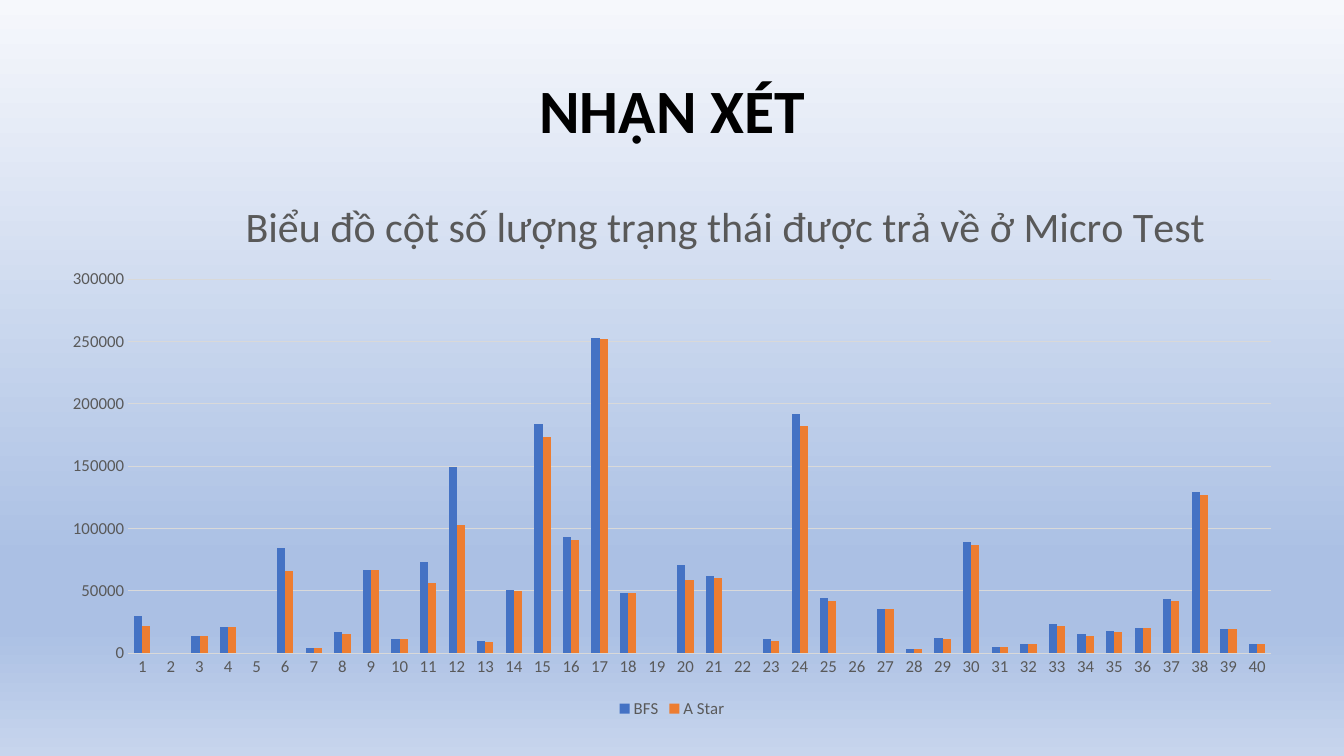
from lxml import etree
from pptx import Presentation
from pptx.chart.data import CategoryChartData as ChartData
from pptx.dml.color import RGBColor
from pptx.enum.chart import XL_CHART_TYPE as Kind, XL_LEGEND_POSITION as Place, XL_TICK_MARK as Tick
from pptx.enum.text import MSO_ANCHOR as Anchor, PP_ALIGN as Align
from pptx.oxml.ns import qn
from pptx.util import Inches, Pt

BLACK = RGBColor(0x00, 0x00, 0x00)
GRAY = RGBColor(0x59, 0x59, 0x59)
PALE = RGBColor(0xD9, 0xD9, 0xD9)
BLUE = RGBColor(0x44, 0x72, 0xC4)
ORANGE = RGBColor(0xED, 0x7D, 0x31)
SKY = [
    (0, RGBColor(0xF6, 0xF8, 0xFC)),
    (74, RGBColor(0xAB, 0xC0, 0xE4)),
    (83, RGBColor(0xAB, 0xC0, 0xE4)),
    (100, RGBColor(0xC7, 0xD5, 0xED)),
]

BFS = [
    30000, None, 14000, 21000, None, 84000, 4000, 17000, 67000, 11000,
    73000, 149000, 10000, 51000, 184000, 93000, 253000, 48000, None, 71000,
    62000, None, 11000, 192000, 44000, None, 35000, 3000, 12000, 89000,
    5000, 7000, 23000, 15000, 18000, 20000, 43000, 129000, 19000, 7000,
]
STAR = [
    22000, None, 14000, 21000, None, 66000, 4000, 15000, 67000, 11000,
    56000, 103000, 9000, 50000, 173000, 91000, 252000, 48000, None, 59000,
    60000, None, 10000, 182000, 42000, None, 35000, 3000, 11000, 87000,
    5000, 7000, 22000, 14000, 17000, 20000, 42000, 127000, 19000, 7000,
]
SERIES = [("BFS", BFS, BLUE), ("A Star", STAR, ORANGE)]


class Deck:
    """Holds the style and the current slide."""

    face = "Calibri"

    def __init__(self):
        self.prs = Presentation()
        self.prs.slide_width, self.prs.slide_height = Inches(13.33), Inches(7.5)
        self.slide = self.prs.slides.add_slide(self.prs.slide_layouts[6])

    def style(self, font, size, color, bold=False):
        font.name, font.size, font.bold = self.face, Pt(size), bold
        font.color.rgb = color

    def backdrop(self, stops):
        fill = self.slide.background.fill
        fill.gradient()
        fill.gradient_angle = 270
        ramp = next(self.slide.element.iter(qn("a:gsLst")))
        for old in list(ramp):
            ramp.remove(old)
        for spot, color in stops:
            stop = etree.SubElement(ramp, qn("a:gs"), pos=str(spot * 1000))
            etree.SubElement(stop, qn("a:srgbClr"), val=str(color))

    def title(self, text, box):
        frame = self.slide.shapes.add_textbox(*map(Inches, box)).text_frame
        frame.word_wrap = True
        frame.vertical_anchor = Anchor.MIDDLE
        frame.text = text
        para = frame.paragraphs[0]
        para.alignment = Align.CENTER
        para.line_spacing = 0.9
        self.style(para.runs[0].font, 44, BLACK, True)

    def pin(self, node, index, marks):
        for old in node.findall(qn("c:layout")):
            node.remove(old)
        layout = etree.Element(qn("c:layout"))
        manual = etree.SubElement(layout, qn("c:manualLayout"))
        for name, val in marks:
            etree.SubElement(manual, qn(f"c:{name}"), val=str(val))
        node.insert(index, layout)

    def heading(self, chart, text, box, spot):
        frame = chart.chart_title.text_frame
        frame.text = text
        self.style(frame.paragraphs[0].runs[0].font, 30, GRAY)
        left, top, width, height = box
        x, y = (spot[0] - left) / width, (spot[1] - top) / height
        node = next(chart.element.iter(qn("c:title")))
        self.pin(node, 1, [("xMode", "edge"), ("yMode", "edge"), ("x", x), ("y", y)])

    def area(self, chart, box, inner):
        left, top, width, height = box
        x, y = (inner[0] - left) / width, (inner[1] - top) / height
        w, h = inner[2] / width, inner[3] / height
        node = next(chart.element.iter(qn("c:plotArea")))
        self.pin(node, 0, [
            ("layoutTarget", "inner"), ("xMode", "edge"), ("yMode", "edge"),
            ("x", x), ("y", y), ("w", w), ("h", h),
        ])

    def axes(self, chart, top, step):
        cat, val = chart.category_axis, chart.value_axis
        for axis in (cat, val):
            axis.major_tick_mark = axis.minor_tick_mark = Tick.NONE
            self.style(axis.tick_labels.font, 12, GRAY)
        val.minimum_scale, val.maximum_scale, val.major_unit = 0, top, step
        val.has_major_gridlines = True
        val.format.line.fill.background()
        for line in (cat.format.line, val.major_gridlines.format.line):
            line.color.rgb, line.width = PALE, Pt(0.75)

    def columns(self, series, box):
        data = ChartData()
        data.categories = [str(n + 1) for n in range(len(series[0][1]))]
        for name, vals, _ in series:
            data.add_series(name, vals)
        frame = self.slide.shapes.add_chart(Kind.COLUMN_CLUSTERED, *map(Inches, box), data)
        chart = frame.chart
        self.style(chart.font, 10, BLACK)
        plot = chart.plots[0]
        plot.gap_width, plot.overlap, plot.vary_by_categories = 150, 0, False
        for bars, (_, _, color) in zip(plot.series, series):
            bars.format.fill.solid()
            bars.format.fill.fore_color.rgb = color
        chart.has_legend = True
        chart.legend.position = Place.BOTTOM
        chart.legend.include_in_layout = False
        self.style(chart.legend.font, 12, GRAY)
        return chart


def main():
    deck = Deck()
    deck.backdrop(SKY)
    box = (0.47, 1.79, 12.39, 5.38)
    chart = deck.columns(SERIES, box)
    deck.axes(chart, 300000, 50000)
    deck.heading(chart, "Biểu đồ cột số lượng trạng thái được trả về ở Micro Test", box, (2.36, 1.88))
    deck.area(chart, box, (1.27, 2.77, 11.34, 3.71))
    deck.title("NHẬN XÉT", (0.92, 0.4, 11.5, 1.45))
    deck.prs.save("out.pptx")


if __name__ == "__main__":
    main()
